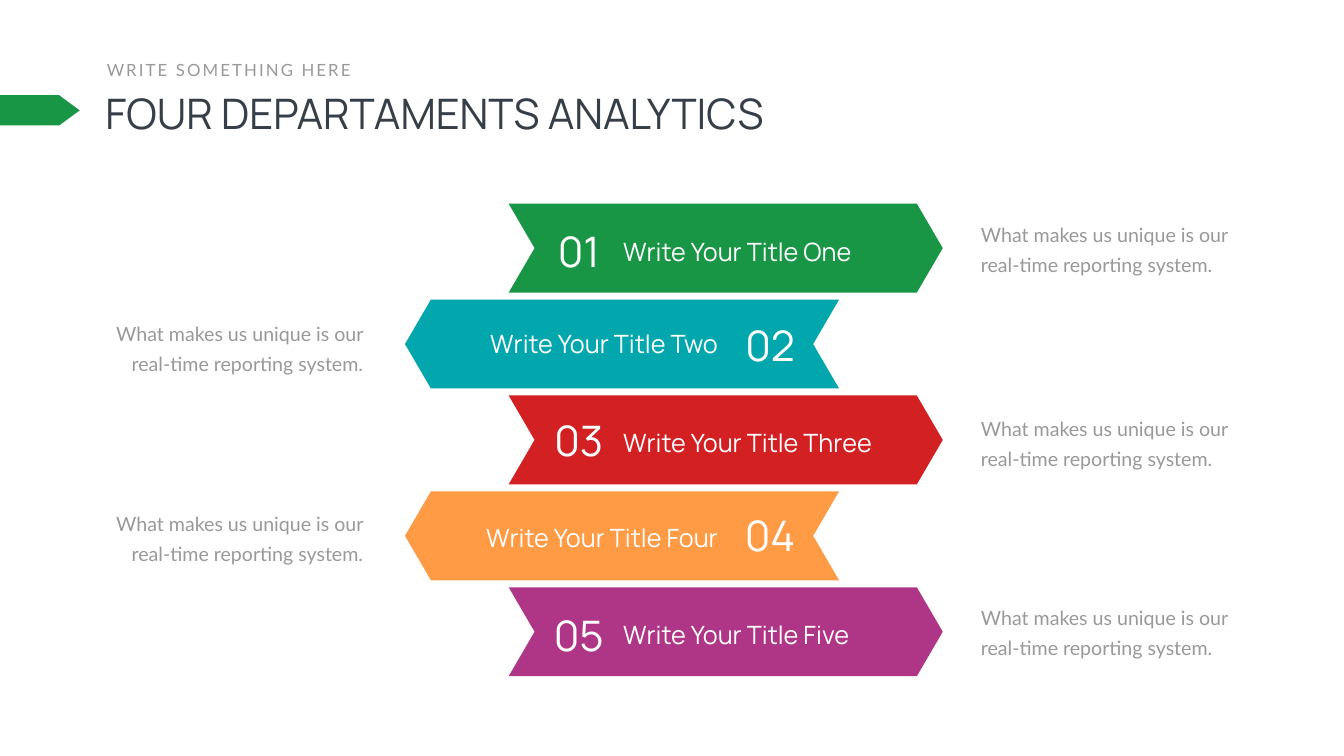
from dataclasses import dataclass

import pptx
import pptx.dml.color
import pptx.enum.shapes
import pptx.enum.text
import pptx.util

Pt = pptx.util.Pt
ALIGN = pptx.enum.text.PP_ALIGN
ANCHOR = pptx.enum.text.MSO_ANCHOR


@dataclass(frozen=True)
class Theme:
    heading_font: str = "Manrope"
    body_font: str = "Lato"
    ink: str = "363E48"
    gray: str = "999999"
    white: str = "FFFFFF"
    green: str = "199645"
    teal: str = "02A7AD"
    red: str = "D32023"
    orange: str = "FF9A45"
    purple: str = "AF3686"
    display_size: int = 60
    title_size: int = 36
    body_size: int = 28
    kicker_size: int = 24
    body_leading: int = 43


class SlideBuilder:
    def __init__(self, slide, theme):
        self.slide = slide
        self.theme = theme

    def paint(self, shape, color):
        shape.shadow.inherit = False
        shape.fill.solid()
        shape.fill.fore_color.rgb = pptx.dml.color.RGBColor.from_string(color)
        shape.line.fill.background()

    def text(self, content, left, top, width, height, size, color, font,
             align=ALIGN.LEFT, anchor=ANCHOR.TOP, wrap=True, inset=True,
             leading=None, tracking=None):
        box = self.slide.shapes.add_textbox(Pt(left), Pt(top), Pt(width), Pt(height))
        frame = box.text_frame
        frame.word_wrap = wrap
        frame.vertical_anchor = anchor
        if not inset:
            frame.margin_left = frame.margin_right = 0
            frame.margin_top = frame.margin_bottom = 0
        frame.text = content
        paragraph = frame.paragraphs[0]
        paragraph.alignment = align
        if leading:
            paragraph.line_spacing = Pt(leading)
        run = paragraph.runs[0]
        run.font.name = font
        run.font.size = Pt(size)
        run.font.color.rgb = pptx.dml.color.RGBColor.from_string(color)
        if tracking:
            run.font._element.set("spc", str(tracking * 100))

    def marker(self, left, top, width, height, color):
        shape = self.slide.shapes.add_shape(
            pptx.enum.shapes.MSO_SHAPE.PENTAGON,
            Pt(left), Pt(top), Pt(width), Pt(height))
        shape.adjustments[0] = 0.678
        self.paint(shape, color)

    def ribbon(self, left, top, width, height, notch, color, points_right):
        # Outline pointing right; mirrored for the other direction
        outline = [(0, 0), (width - notch, 0), (width, height / 2),
                   (width - notch, height), (0, height), (notch, height / 2)]
        if not points_right:
            outline = [(width - x, y) for x, y in outline]
        points = [(Pt(left + x), Pt(top + y)) for x, y in outline]
        builder = self.slide.shapes.build_freeform(*points[0], scale=1.0)
        builder.add_line_segments(points[1:], close=True)
        self.paint(builder.convert_to_shape(), color)


@dataclass(frozen=True)
class Side:
    ribbon_left: float
    number_center: float
    title_left: float
    title_width: float
    body_left: float
    align: ALIGN


RIGHT = Side(726.5, 826.6, 882.7, 414, 1393.9, ALIGN.LEFT)
LEFT = Side(578.4, 1099.8, 625.7, 406.8, 136.8, ALIGN.RIGHT)

RIBBON_TOP, RIBBON_PITCH = 291, 137
RIBBON_WIDTH, RIBBON_HEIGHT, RIBBON_NOTCH = 620, 127, 37
BODY = "What makes us unique is our real-time reporting system."


def main():
    theme = Theme()
    presentation = pptx.Presentation()
    presentation.slide_width = Pt(1919.52)
    presentation.slide_height = Pt(1080)
    slide = presentation.slides.add_slide(presentation.slide_layouts[6])
    builder = SlideBuilder(slide, theme)

    # Heading
    builder.text("FOUR DEPARTAMENTS ANALYTICS", 143.3, 121, 1031, 80,
                 theme.display_size, theme.ink, theme.heading_font,
                 anchor=ANCHOR.MIDDLE)
    builder.text("WRITE SOMETHING HERE", 145.4, 81.4, 370, 36,
                 theme.kicker_size, theme.gray, theme.body_font,
                 wrap=False, tracking=3)
    builder.marker(0, 136.1, 113.8, 43.2, theme.green)

    # Departments: title, color, number width, tops of number, title and body
    departments = [
        ("One", theme.green, 75, 322.6, 334.1, 305.3),
        ("Two", theme.teal, 88.6, 455.8, 465.8, 446.4),
        ("Three", theme.red, 89.3, 591.8, 606.2, 583.2),
        ("Four", theme.orange, 92.9, 727.2, 741.6, 718.6),
        ("Five", theme.purple, 92.2, 870.5, 881.3, 853.2),
    ]
    for index, (name, color, number_width, number_top, title_top, body_top) in enumerate(departments):
        points_right = index % 2 == 0
        side = RIGHT if points_right else LEFT
        builder.ribbon(side.ribbon_left, RIBBON_TOP + index * RIBBON_PITCH,
                       RIBBON_WIDTH, RIBBON_HEIGHT, RIBBON_NOTCH, color, points_right)
        builder.text(f"{index + 1:02d}", side.number_center - number_width / 2,
                     number_top, number_width, 72.7, theme.display_size,
                     theme.white, theme.heading_font, align=ALIGN.CENTER,
                     wrap=False, inset=False)
        builder.text(f"Write Your Title {name}", side.title_left, title_top,
                     side.title_width, 51, theme.title_size, theme.white,
                     theme.heading_font, align=side.align, anchor=ANCHOR.MIDDLE)
        builder.text(BODY, side.body_left, body_top, 388.8, 90, theme.body_size,
                     theme.gray, theme.body_font, align=side.align,
                     leading=theme.body_leading)

    presentation.save("out.pptx")


if __name__ == "__main__":
    main()
